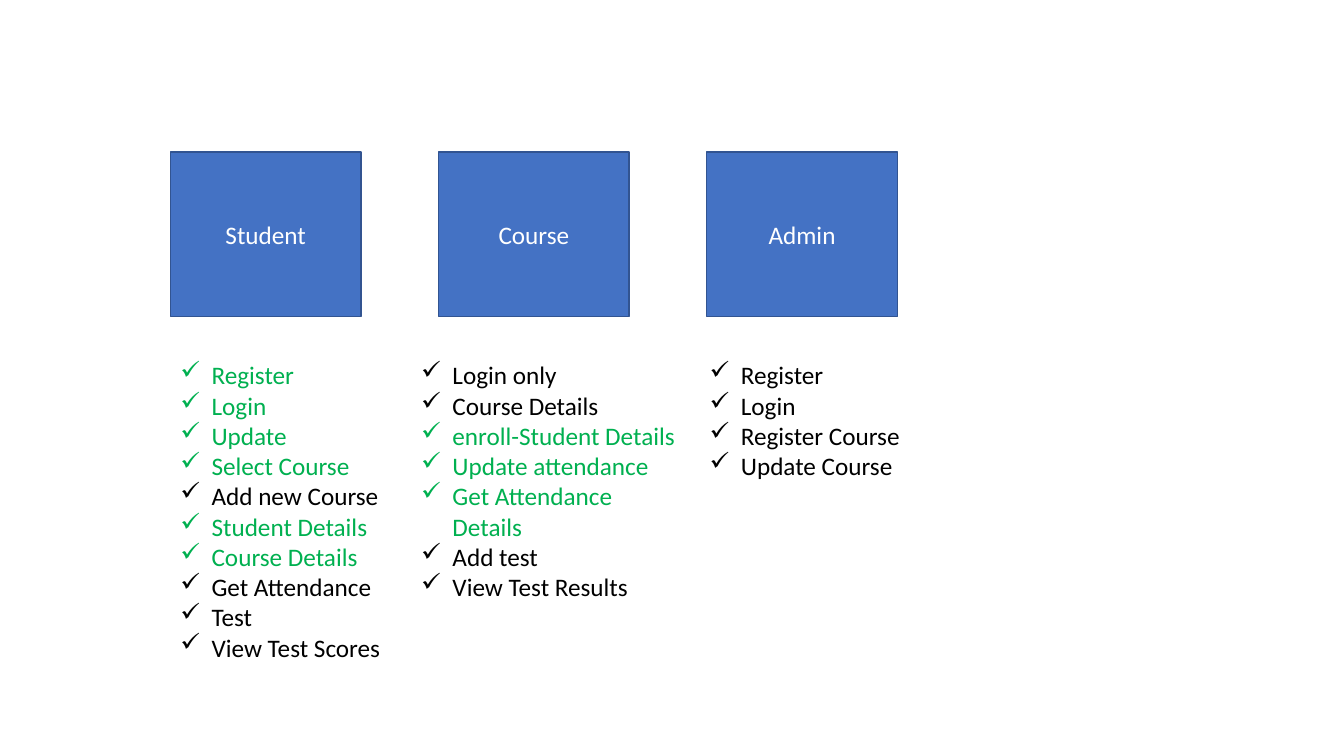
from lxml.etree import SubElement
from pptx import Presentation
from pptx.dml.color import RGBColor
from pptx.enum.shapes import MSO_SHAPE
from pptx.enum.text import MSO_ANCHOR, PP_ALIGN
from pptx.oxml.ns import qn
from pptx.util import Inches, Pt

BLACK, GREEN, WHITE = "000000", "00B050", "FFFFFF"
BLUE, DARK_BLUE = "4472C4", "325491"
CARD_LEFT, CARD_PITCH, CARD_TOP = 1.69, 2.66, 1.51
CARD_WIDTH, CARD_HEIGHT = 1.89, 1.63
LIST_TOP, INDENT = 3.52, 0.31

ROLES = [
    ("Student", (1.69, LIST_TOP, 2.39, 4.04), [
        ("Register", GREEN), ("Login", GREEN), ("Update", GREEN),
        ("Select Course", GREEN), ("Add new Course", BLACK),
        ("Student Details", GREEN), ("Course Details", GREEN),
        ("Get Attendance", BLACK), ("Test", BLACK), ("View Test Scores", BLACK)]),
    ("Course", (4.08, LIST_TOP, 2.73, 3.13), [
        ("Login only", BLACK), ("Course Details", BLACK),
        ("enroll-Student Details", GREEN), ("Update attendance", GREEN),
        ("Get Attendance Details", GREEN), ("Add test", BLACK),
        ("View Test Results", BLACK)]),
    ("Admin", (6.94, LIST_TOP, 2.73, 2.22), [
        ("Register", BLACK), ("Login", BLACK),
        ("Register Course", BLACK), ("Update Course", BLACK)]),
]


def color(value):
    """Turn a hex string into a colour."""
    return RGBColor.from_string(value)


def add_span(para, text, ink):
    """Add one run of body text to a paragraph."""
    span = para.add_run()
    span.text = text
    span.font.name = "Calibri"
    span.font.size = Pt(18)
    span.font.color.rgb = color(ink)


def add_check(para):
    """Give a paragraph a hanging check mark."""
    properties = para._p.get_or_add_pPr()
    properties.set("marL", str(Inches(INDENT)))
    properties.set("indent", str(-Inches(INDENT)))
    SubElement(properties, qn("a:buChar")).set("char", "✓")


def add_card(page, box, name):
    """Draw the blue card that names a role."""
    card = page.shapes.add_shape(MSO_SHAPE.RECTANGLE, *map(Inches, box))
    card.shadow.inherit = False
    card.fill.solid()
    card.fill.fore_color.rgb = color(BLUE)
    card.line.color.rgb = color(DARK_BLUE)
    card.line.width = Pt(1)
    card.text_frame.vertical_anchor = MSO_ANCHOR.MIDDLE
    para = card.text_frame.paragraphs[0]
    para.alignment = PP_ALIGN.CENTER
    add_span(para, name, WHITE)


def add_checklist(page, box, tasks):
    """Write the checked tasks of a role."""
    frame = page.shapes.add_textbox(*map(Inches, box)).text_frame
    frame.word_wrap = True
    for index, (task, ink) in enumerate(tasks):
        para = frame.add_paragraph() if index else frame.paragraphs[0]
        add_check(para)
        add_span(para, task, ink)


def main():
    """Build the slide of roles and save it."""
    deck = Presentation()
    deck.slide_width, deck.slide_height = Inches(13.33), Inches(7.5)
    page = deck.slides.add_slide(deck.slide_layouts[6])
    for column, (name, list_box, tasks) in enumerate(ROLES):
        left = CARD_LEFT + column * CARD_PITCH
        add_card(page, (left, CARD_TOP, CARD_WIDTH, CARD_HEIGHT), name)
        add_checklist(page, list_box, tasks)
    deck.save("out.pptx")


if __name__ == "__main__":
    main()
